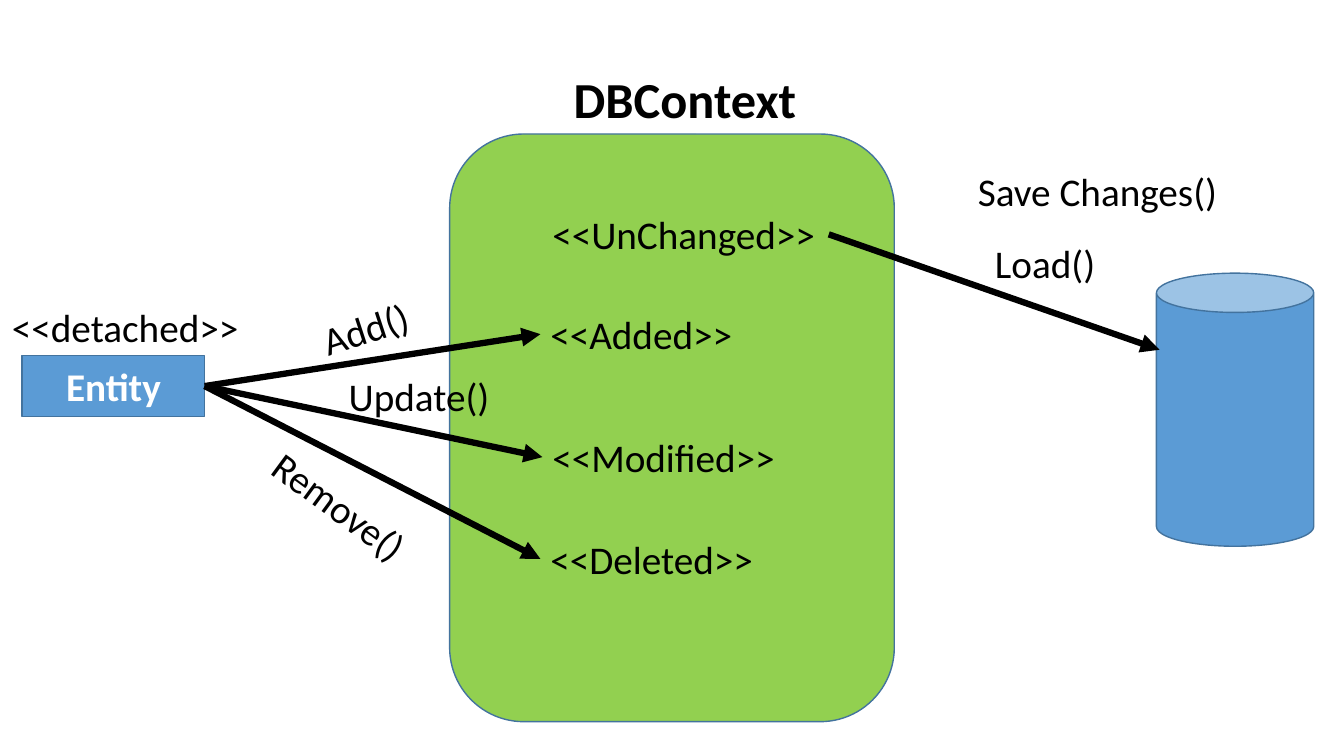
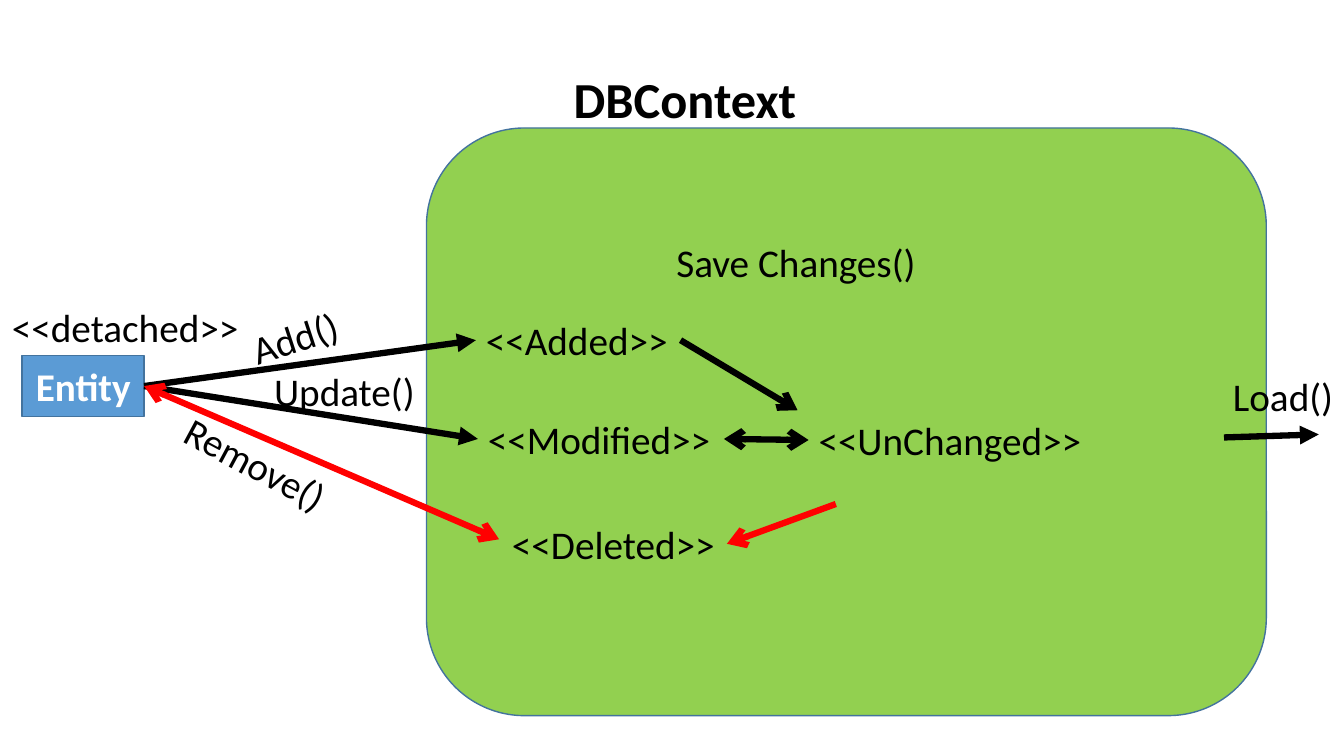
from dataclasses import dataclass
from typing import NamedTuple

from lxml.etree import SubElement
from pptx import Presentation
from pptx.dml.color import RGBColor
from pptx.enum.shapes import MSO_CONNECTOR, MSO_SHAPE
from pptx.enum.text import MSO_ANCHOR, MSO_AUTO_SIZE, PP_ALIGN
from pptx.oxml.ns import qn
from pptx.shapes.autoshape import Shape
from pptx.slide import Slide
from pptx.util import Emu, Inches, Pt


@dataclass(frozen=True)
class Theme:
    font: str = "Calibri"
    ink: RGBColor = RGBColor(0x00, 0x00, 0x00)
    white: RGBColor = RGBColor(0xFF, 0xFF, 0xFF)
    red: RGBColor = RGBColor(0xFF, 0x00, 0x00)
    green: RGBColor = RGBColor(0x92, 0xD0, 0x50)
    blue: RGBColor = RGBColor(0x5B, 0x9B, 0xD5)
    outline: RGBColor = RGBColor(0x43, 0x73, 0x9E)
    title_size: Pt = Pt(36)
    label_size: Pt = Pt(28)
    outline_width: Pt = Pt(1)
    arrow_width: Pt = Pt(4.5)


THEME = Theme()
SLIDE_WIDTH = Inches(13.33)
SLIDE_HEIGHT = Inches(7.5)
GRID_COLUMNS = 133.3
GRID_ROWS = 75


def across(columns: float) -> Emu:
    return Emu(round(SLIDE_WIDTH * columns / GRID_COLUMNS))


def down(rows: float) -> Emu:
    return Emu(round(SLIDE_HEIGHT * rows / GRID_ROWS))


class Point(NamedTuple):
    column: float
    row: float


class Box(NamedTuple):
    column: float
    row: float
    columns: float
    rows: float

    @property
    def left_middle(self) -> Point:
        return Point(self.column, self.row + self.rows / 2)

    @property
    def right_middle(self) -> Point:
        return Point(self.column + self.columns, self.row + self.rows / 2)


LABEL_ROWS = 5.7
LABEL_COLUMNS = {
    "<<detached>>": 24.8,
    "<<UnChanged>>": 28.4,
    "<<Added>>": 20.3,
    "<<Modified>>": 24.4,
    "<<Deleted>>": 22.3,
    "Add()": 10.8,
    "Update()": 16.1,
    "Remove()": 17.3,
    "Load()": 12.1,
    "Save Changes()": 26,
}


@dataclass(frozen=True)
class Label:
    text: str
    column: float
    row: float
    rotation: float = 0

    @property
    def box(self) -> Box:
        return Box(self.column, self.row, LABEL_COLUMNS[self.text], LABEL_ROWS)


@dataclass(frozen=True)
class Arrow:
    start: Point
    end: Point
    head: str = ""
    tail: str = "triangle"
    color: RGBColor = THEME.ink


@dataclass(frozen=True)
class Diagram:
    context: Box
    entity: Box
    labels: list[Label]
    arrows: list[Arrow]
    database: Box | None = None


TITLE_BOX = Box(55.9, 6.3, 24.3, 7.1)
DETACHED = Label("<<detached>>", 0.2, 29.6)


def tracking_diagram() -> Diagram:
    entity = Box(2.2, 35.3, 18.1, 6)
    unchanged = Label("<<UnChanged>>", 53.8, 20.4)
    added = Label("<<Added>>", 53.6, 30.3)
    modified = Label("<<Modified>>", 53.8, 42.5)
    deleted = Label("<<Deleted>>", 53.6, 52.6)
    calls = [
        Label("Load()", 97.7, 23.3),
        Label("Add()", 30.9, 29.7, -18.1),
        Label("Update()", 33.6, 36.4),
        Label("Remove()", 25.1, 47.4, 36.3),
        Label("Save Changes()", 96, 16.1),
    ]
    arrows = [Arrow(unchanged.box.right_middle, Point(115, 34.7))]
    arrows += [
        Arrow(entity.right_middle, state.box.left_middle)
        for state in (added, modified, deleted)
    ]
    return Diagram(
        context=Box(44.6, 13.3, 44.1, 58.3),
        entity=entity,
        labels=[DETACHED, unchanged, added, modified, deleted, *calls],
        arrows=arrows,
        database=Box(114.7, 27.1, 15.6, 27.1),
    )


def saving_diagram() -> Diagram:
    entity = Box(2.2, 35.3, 12.1, 6)
    unchanged = Label("<<UnChanged>>", 80.2, 40.8)
    added = Label("<<Added>>", 47.2, 30.9)
    modified = Label("<<Modified>>", 47.4, 40.7)
    deleted = Label("<<Deleted>>", 49.8, 51.1)
    calls = [
        Label("Load()", 121.3, 36.4),
        Label("Add()", 23.9, 30.6, -18.1),
        Label("Update()", 26.2, 35.9),
        Label("Remove()", 16.8, 43.2, 28.2),
        Label("Save Changes()", 66.1, 23.2),
    ]
    arrows = [
        Arrow(added.box.right_middle, Point(79.1, 40.7), tail="arrow"),
        Arrow(entity.right_middle, added.box.left_middle),
        Arrow(entity.right_middle, modified.box.left_middle),
        Arrow(entity.right_middle, Point(49.5, 53.5), "arrow", "arrow", THEME.red),
        Arrow(Point(121.4, 43.4), Point(130.8, 43.1)),
        Arrow(modified.box.right_middle, unchanged.box.left_middle, "arrow", "arrow"),
        Arrow(Point(82.9, 50), deleted.box.right_middle, "", "arrow", THEME.red),
    ]
    return Diagram(
        context=Box(42.3, 12.7, 83.3, 58.3),
        entity=entity,
        labels=[DETACHED, unchanged, added, modified, deleted, *calls],
        arrows=arrows,
    )


def place(box: Box) -> tuple[Emu, Emu, Emu, Emu]:
    return across(box.column), down(box.row), across(box.columns), down(box.rows)


def write(
    shape: Shape,
    text: str,
    size: Pt,
    color: RGBColor = THEME.ink,
    bold: bool = False,
    alignment: PP_ALIGN = PP_ALIGN.LEFT,
) -> None:
    shape.text_frame.text = text
    paragraph = shape.text_frame.paragraphs[0]
    paragraph.alignment = alignment
    font = paragraph.runs[0].font
    font.name = THEME.font
    font.size = size
    font.bold = bold
    font.color.rgb = color


def fit_to_text(shape: Shape) -> None:
    shape.text_frame.word_wrap = False
    shape.text_frame.auto_size = MSO_AUTO_SIZE.SHAPE_TO_FIT_TEXT
    shape.text_frame.vertical_anchor = MSO_ANCHOR.TOP


def add_title(slide: Slide, text: str) -> None:
    title = slide.shapes.title
    title.left, title.top, title.width, title.height = place(TITLE_BOX)
    write(title, text, THEME.title_size, bold=True)
    fit_to_text(title)


def add_block(slide: Slide, preset: MSO_SHAPE, box: Box, fill: RGBColor) -> Shape:
    shape = slide.shapes.add_shape(preset, *place(box))
    shape.shadow.inherit = False
    shape.fill.solid()
    shape.fill.fore_color.rgb = fill
    shape.line.color.rgb = THEME.outline
    shape.line.width = THEME.outline_width
    return shape


def add_label(slide: Slide, label: Label) -> None:
    shape = slide.shapes.add_textbox(*place(label.box))
    shape.rotation = label.rotation
    write(shape, label.text, THEME.label_size)
    fit_to_text(shape)


def add_arrow(slide: Slide, arrow: Arrow) -> None:
    connector = slide.shapes.add_connector(
        MSO_CONNECTOR.STRAIGHT,
        across(arrow.start.column),
        down(arrow.start.row),
        across(arrow.end.column),
        down(arrow.end.row),
    )
    connector.line.color.rgb = arrow.color
    connector.line.width = THEME.arrow_width
    properties = connector.element.spPr
    line = properties.find(qn("a:ln"))
    for tag, kind in (("a:headEnd", arrow.head), ("a:tailEnd", arrow.tail)):
        if kind:
            SubElement(line, qn(tag)).set("type", kind)
    SubElement(properties, qn("a:effectLst"))


def add_diagram(slide: Slide, diagram: Diagram) -> None:
    add_title(slide, "DBContext")
    add_block(slide, MSO_SHAPE.ROUNDED_RECTANGLE, diagram.context, THEME.green)
    entity = add_block(slide, MSO_SHAPE.RECTANGLE, diagram.entity, THEME.blue)
    entity.text_frame.vertical_anchor = MSO_ANCHOR.MIDDLE
    write(entity, "Entity", THEME.label_size, THEME.white, True, PP_ALIGN.CENTER)
    if diagram.database:
        add_block(slide, MSO_SHAPE.CAN, diagram.database, THEME.blue)
    for label in diagram.labels:
        add_label(slide, label)
    for arrow in diagram.arrows:
        add_arrow(slide, arrow)


def main() -> None:
    presentation = Presentation()
    presentation.slide_width = SLIDE_WIDTH
    presentation.slide_height = SLIDE_HEIGHT
    title_only = presentation.slide_layouts.get_by_name("Title Only")
    for diagram in (tracking_diagram(), saving_diagram()):
        add_diagram(presentation.slides.add_slide(title_only), diagram)
    presentation.save("out.pptx")


if __name__ == "__main__":
    main()
